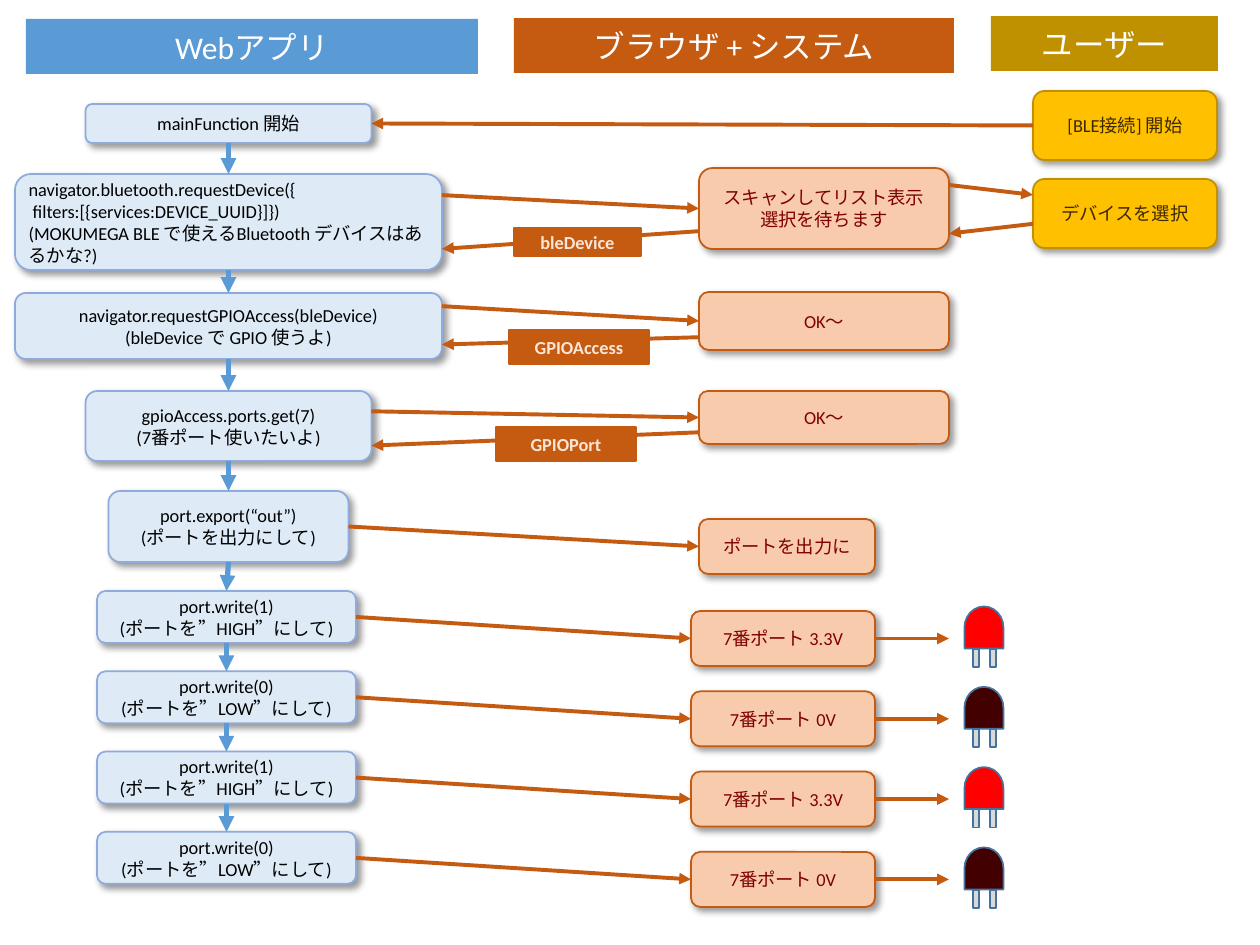
from dataclasses import dataclass

from lxml import etree
from pptx import Presentation
from pptx import util as u
from pptx.dml.color import RGBColor
from pptx.enum import shapes, text
from pptx.oxml import ns

SCALE = 914400 / 126
SHAPE = shapes.MSO_SHAPE
WRITE_TOP, REPLY_TOP, LED_TOP, PITCH = 501, 521, 517, 80.3


@dataclass(frozen=True)
class Theme:
    """Hold the colours, font and type sizes."""
    font: str = "Calibri"
    body: float = 10.5
    heading: float = 18
    white: str = "FFFFFF"
    web: str = "5B9BD5"
    system: str = "C55A11"
    user: str = "BF9000"
    step: tuple = ("DEEBF7", "8FAADC", "000000")
    reply: tuple = ("F8CBAD", "C55A11", "800000")
    action: tuple = ("FFC000", "BF9000", "3E2800")
    label: tuple = ("C55A11", "C55A11", "FBE5D6")
    led_line: str = "43739E"
    pin: str = "D9D9D9"
    lit: str = "FF0000"
    dark: str = "420000"


@dataclass(frozen=True)
class Box:
    """Describe a rectangle in pixels."""
    left: float
    top: float
    width: float
    height: float

    def inside(self, left, top, width, height):
        """Return a box placed relative to this one."""
        return Box(self.left + left, self.top + top, width, height)

    def at(self, across, down):
        """Return the point at the given shares of width and height."""
        return self.left + across * self.width, self.top + down * self.height


THEME = Theme()


def px(length):
    """Turn pixels into EMU."""
    return u.Emu(round(length * SCALE))


def draw(slide, kind, box, fill, line=None):
    """Draw a filled preset shape without a shadow."""
    shape = slide.shapes.add_shape(
        kind, px(box.left), px(box.top), px(box.width), px(box.height))
    shape.shadow.inherit = False
    shape.fill.solid()
    shape.fill.fore_color.rgb = RGBColor.from_string(fill)
    if line:
        shape.line.color.rgb = RGBColor.from_string(line)
        shape.line.width = u.Pt(1)
    else:
        shape.line.fill.background()
    return shape


def write(shape, lines, size, color, align=text.PP_ALIGN.CENTER, bold=False):
    """Fill a shape with one paragraph per line."""
    frame = shape.text_frame
    frame.word_wrap = True
    frame.vertical_anchor = text.MSO_ANCHOR.MIDDLE
    frame.text = "\n".join(lines)
    for paragraph in frame.paragraphs:
        paragraph.alignment = align
        paragraph.font.name = THEME.font
        paragraph.font.size = u.Pt(size)
        paragraph.font.bold = bold
        paragraph.font.color.rgb = RGBColor.from_string(color)


def cast_shadow(shape):
    """Add a soft shadow to the lower right."""
    effects = shape._element.spPr.find(ns.qn("a:effectLst"))
    shadow = etree.SubElement(effects, ns.qn("a:outerShdw"), blurRad="50800",
                              dist="38100", dir="2700000", algn="tl", rotWithShape="0")
    color = etree.SubElement(shadow, ns.qn("a:srgbClr"), val="000000")
    etree.SubElement(color, ns.qn("a:alpha"), val="40000")


def card(slide, box, lines, colors, kind=SHAPE.ROUNDED_RECTANGLE, **style):
    """Draw a flow card and return its box."""
    fill, line, ink = colors
    shape = draw(slide, kind, box, fill, line)
    frame = shape.text_frame
    frame.margin_left = frame.margin_right = px(9)
    frame.margin_top = frame.margin_bottom = px(5)
    write(shape, lines, THEME.body, ink, **style)
    if kind == SHAPE.ROUNDED_RECTANGLE:
        cast_shadow(shape)
    return box


def arrow(slide, start, end, color=THEME.system, width=2.25):
    """Draw an arrow between two points."""
    connector = slide.shapes.add_connector(
        shapes.MSO_CONNECTOR.STRAIGHT, *map(px, (*start, *end)))
    connector.line.color.rgb = RGBColor.from_string(color)
    connector.line.width = u.Pt(width)
    etree.SubElement(connector.line._get_or_add_ln(), ns.qn("a:tailEnd"), type="triangle")
    etree.SubElement(connector._element.spPr, ns.qn("a:effectLst"))


def message(slide, source, leave, target, arrive):
    """Draw an arrow between the facing sides of two cards."""
    rightward = source.left < target.left
    arrow(slide, source.at(int(rightward), leave), target.at(int(not rightward), arrive))


def headings(slide, area):
    """Place the three lane headings."""
    for left, top, width, caption, fill in (
            (11, 6, 452, "Webアプリ", THEME.web),
            (499, 5, 440, "ブラウザ + システム", THEME.system),
            (976, 3, 227, "ユーザー", THEME.user)):
        banner = draw(slide, SHAPE.RECTANGLE, area.inside(left, top, width, 55), fill)
        write(banner, [caption], THEME.heading, THEME.white)


def app_steps(slide, lane):
    """Stack the application steps, centred in the lane and chained by arrows."""
    steps = [
        (0, 14, 286, 39, ["mainFunction 開始"]),
        (0, 84, 427, 96, ["navigator.bluetooth.requestDevice({",
                          " filters:[{services:DEVICE_UUID}]})",
                          "(MOKUMEGA BLE で使えるBluetooth デバイスはあるかな?)"]),
        (0, 203, 427, 66, ["navigator.requestGPIOAccess(bleDevice)",
                           "(bleDevice で GPIO 使うよ)"]),
        (0, 301, 286, 70, ["gpioAccess.ports.get(7)", "(7番ポート使いたいよ)"]),
        (0, 401, 240, 71, ["port.export(“out”)", "(ポートを出力にして)"])]
    for row in range(4):
        value, level = ((1, "HIGH"), (0, "LOW"))[row % 2]
        steps.append((-2, WRITE_TOP + row * PITCH, 259, 52,
                      [f"port.write({value})", f"(ポートを”{level}”にして)"]))
    cards = []
    for shift, top, width, height, lines in steps:
        align = text.PP_ALIGN.LEFT if len(lines) > 2 else text.PP_ALIGN.CENTER
        box = lane.inside((lane.width - width) / 2 + shift, top, width, height)
        cards.append(card(slide, box, lines, THEME.step, align=align))
    for above, below in zip(cards, cards[1:]):
        arrow(slide, above.at(0.5, 1), below.at(0.5, 0), THEME.web, 3)
    return cards


def system_replies(slide, lane):
    """Place the answers of the browser and system."""
    replies = [(8, 78, 250, 81, ["スキャンしてリスト表示", "選択を待ちます"]),
               (8, 202, 250, 58, ["OK～"]),
               (8, 301, 250, 53, ["OK～"]),
               (8, 429, 176, 55, ["ポートを出力に"])]
    replies += [(0, REPLY_TOP + row * PITCH, 184, 55,
                 ["7番ポート " + ("3.3V", "0V")[row % 2]]) for row in range(4)]
    return [card(slide, lane.inside(*place), lines, THEME.reply)
            for *place, lines in replies]


def user_actions(slide, lane):
    """Place the two actions of the user."""
    return [card(slide, lane.inside(0, top, 184, 69), [caption], THEME.action)
            for top, caption in ((1, "[BLE接続] 開始"), (89, "デバイスを選択"))]


def led(slide, box, glow):
    """Draw a lamp with two pins in its box."""
    dome = draw(slide, SHAPE.FLOWCHART_DELAY, box.inside(-1, 1, 42, 39), glow, THEME.led_line)
    dome.rotation = 270
    for left in (9, 26):
        draw(slide, SHAPE.RECTANGLE, box.inside(left, 42, 6, 18), THEME.pin, THEME.led_line)


def messages(slide, area, steps, replies, actions):
    """Link the lanes and label the returned values."""
    start, select = actions
    message(slide, start, 0.5, steps[0], 0.5)
    message(slide, replies[0], 0.21, select, 0.23)
    message(slide, select, 0.65, replies[0], 0.81)
    for step, reply, leave in zip(steps[1:], replies, (0.22, 0.2, 0.29) + (0.5,) * 5):
        message(slide, step, leave, reply, 0.5)
    for step, reply, place, value in zip(
            steps[1:], replies,
            ((499, 138, 127, 28), (494, 240, 140, 34), (481, 337, 140, 34)),
            ("bleDevice", "GPIOAccess", "GPIOPort")):
        message(slide, reply, 0.78, step, 0.78)
        card(slide, area.inside(*place), [value], THEME.label, SHAPE.RECTANGLE, bold=True)


def leds(slide, lane, replies):
    """Place a lamp beside each port voltage."""
    for row, reply in enumerate(replies):
        box = lane.inside(0, LED_TOP + row * PITCH, 39, 60)
        led(slide, box, (THEME.lit, THEME.dark)[row % 2])
        y = reply.at(1, 0.5)[1]
        arrow(slide, reply.at(1, 0.5), (box.left - 15, y))


def sequence_slide(deck):
    """Build the slide of the three lanes."""
    slide = deck.slides.add_slide(deck.slide_layouts[6])
    headings(slide, Box(15, 13, 1203, 60))
    area = Box(15, 90, 1203, 820)
    steps = app_steps(slide, area.inside(0, 0, 427, 820))
    replies = system_replies(slide, area.inside(676, 0, 258, 820))
    actions = user_actions(slide, area.inside(1018, 0, 184, 820))
    messages(slide, area, steps, replies, actions)
    leds(slide, area.inside(949, 0, 39, 820), replies[4:])


deck = Presentation()
deck.slide_width, deck.slide_height = px(1260), px(945)
sequence_slide(deck)
deck.save("out.pptx")
